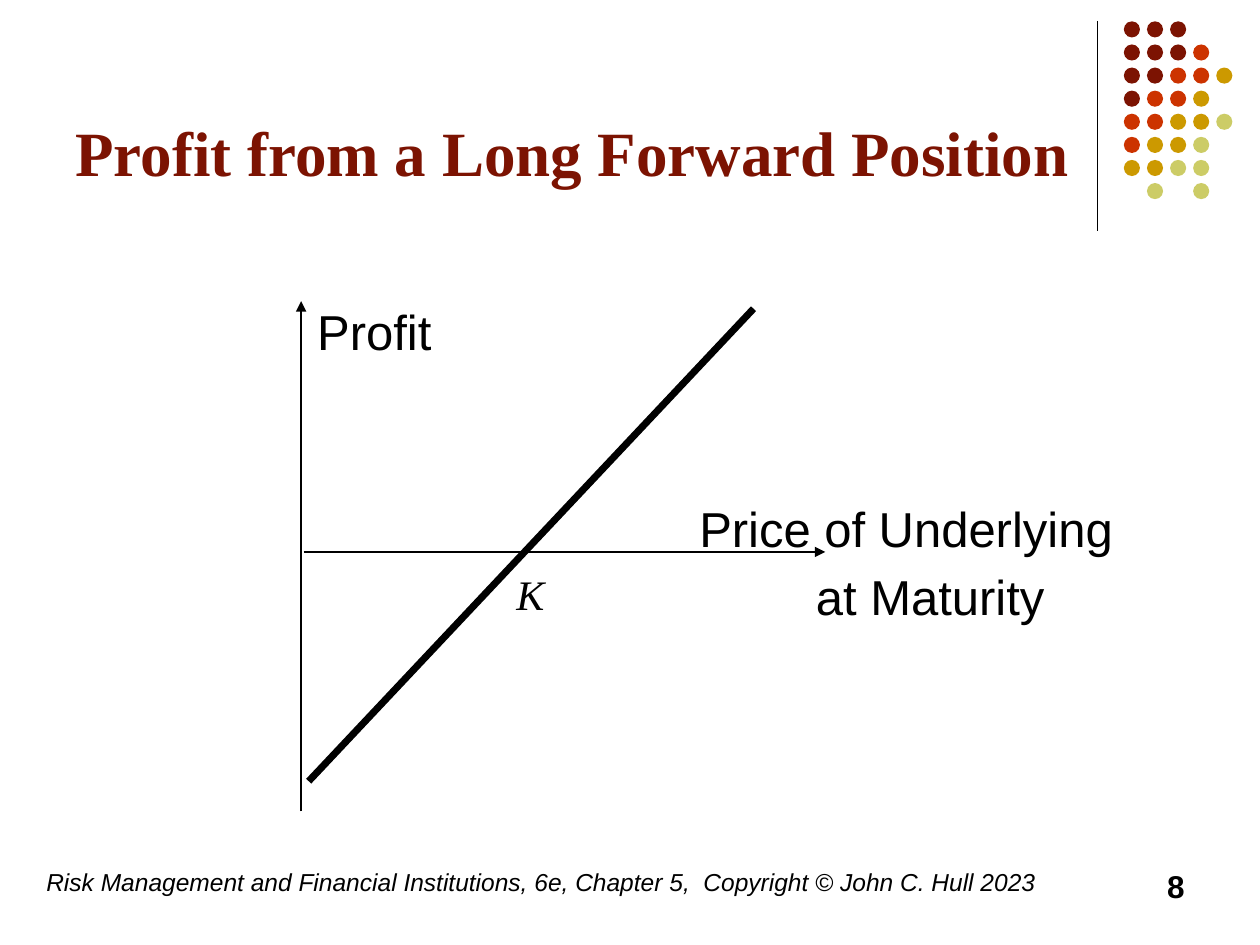
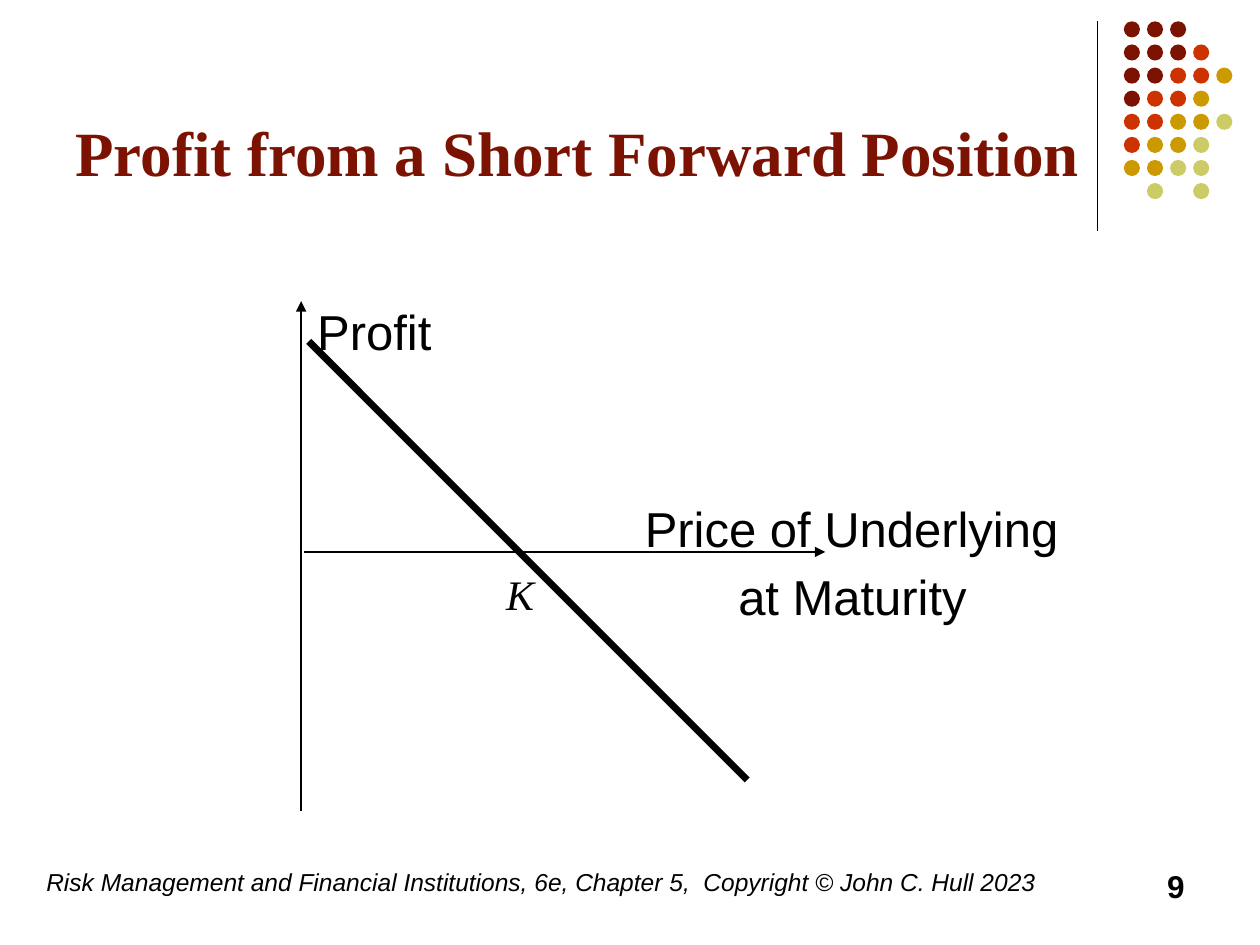
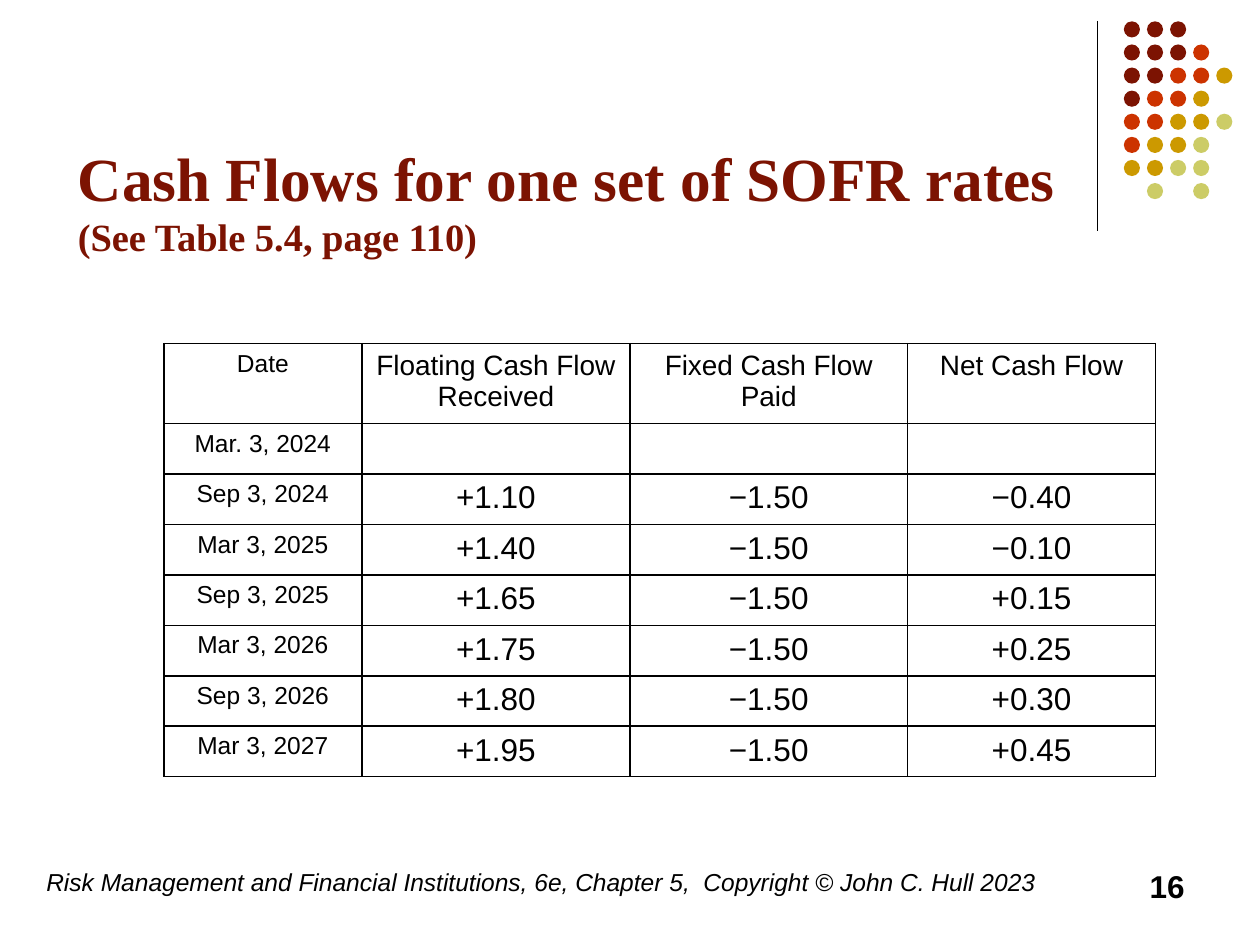
from pptx import Presentation
from pptx.dml.color import RGBColor
from pptx.enum.shapes import MSO_CONNECTOR, MSO_SHAPE
from pptx.enum.text import MSO_ANCHOR, PP_ALIGN
from pptx.oxml import parse_xml
from pptx.oxml.ns import nsdecls
from pptx.util import Pt

color = RGBColor.from_string
BLACK, MAROON = "000000", "7C1302"
SANS, SERIF = "Arial", "Times New Roman"
FOOTER = ("Risk Management and Financial Institutions, 6e, Chapter 5,  "
          "Copyright © John C. Hull 2023")

DOT_COLORS = {"m": MAROON, "r": "CC3300", "g": "CC9900", "y": "CCCC66"}
DOT_ROWS = ["mmm", "mmmr", "mmrrg", "mrrg", "rrggy", "rggy", "ggyy", " y y"]
DOT_LEFT, DOT_TOP, DOT_STEP, DOT_SIZE = 642.2, 12.2, 13.2, 9.2


def add_text(page, left, top, width, height, lines, size, font=SANS, ink=BLACK,
             bold=False, italic=False, align=PP_ALIGN.LEFT):
    """Add a text box with one paragraph per line and return its text frame."""
    frame = page.shapes.add_textbox(Pt(left), Pt(top), Pt(width), Pt(height)).text_frame
    frame.word_wrap = True
    frame.text = "\n".join(lines)
    for para in frame.paragraphs:
        para.alignment = align
        para.font.name = font
        para.font.size = Pt(size)
        para.font.bold = bold
        para.font.italic = italic
        para.font.color.rgb = color(ink)
    return frame


def add_line(page, start, end, weight, arrow=False):
    line = page.shapes.add_connector(
        MSO_CONNECTOR.STRAIGHT, Pt(start[0]), Pt(start[1]), Pt(end[0]), Pt(end[1]))
    line.line.color.rgb = color(BLACK)
    line.line.width = Pt(weight)
    properties = line._element.spPr
    if arrow:
        properties.ln.append(parse_xml(f'<a:tailEnd {nsdecls("a")} type="triangle"/>'))
    properties.append(parse_xml(f'<a:effectLst {nsdecls("a")}/>'))


deck = Presentation()
deck.slide_width, deck.slide_height = Pt(720), Pt(540)

# Title, title box, page number
slides = [
    ("Profit from a Long Forward Position", (36, 9.4, 594, 102.2), 36, 8),
    ("Profit from a Short Forward Position", (36, 9.4, 594, 102.2), 36, 9),
    ("Cash Flows for one set of SOFR rates", (37.4, 39.6, 646, 112.3), 35, 16),
]
pages = []
for title, title_box, title_size, number in slides:
    page = deck.slides.add_slide(deck.slide_layouts[6])
    pages.append(page)
    add_line(page, (627.1, 12), (627.1, 132), 0.75)
    for row, pattern in enumerate(DOT_ROWS):
        for column, key in enumerate(pattern):
            if key == " ":
                continue
            dot = page.shapes.add_shape(
                MSO_SHAPE.OVAL, Pt(DOT_LEFT + column * DOT_STEP),
                Pt(DOT_TOP + row * DOT_STEP), Pt(DOT_SIZE), Pt(DOT_SIZE))
            dot.shadow.inherit = False
            dot.fill.solid()
            dot.fill.fore_color.rgb = color(DOT_COLORS[key])
            dot.line.fill.background()
    heading = add_text(page, *title_box, [title], title_size, SERIF, MAROON, bold=True)
    heading.vertical_anchor = MSO_ANCHOR.BOTTOM
    if number == 16:
        heading.paragraphs[0].add_line_break()
        span = heading.paragraphs[0].add_run()
        span.text = "(See Table 5.4, page 110)"
        span.font.size = Pt(22)
    add_text(page, 19.4, 492, 595.4, 36, [FOOTER], 14, italic=True)
    add_text(page, 516.2, 492, 167.8, 36, [str(number)], 18, bold=True,
             align=PP_ALIGN.RIGHT)

# Payoff start and end, left of the strike label, indents of the price label
payoffs = [
    ((176.4, 446.4), (430.6, 176.4), 288, (31.1, 97.8)),
    ((176.4, 195.1), (427, 445.7), 282.2, (0, 53.4)),
]
for page, (start, end, strike_left, indents) in zip(pages, payoffs):
    add_line(page, (172.1, 463.7), (172.1, 172.1), 1, arrow=True)
    add_line(page, (173.5, 315.4), (471.6, 315.4), 1, arrow=True)
    add_line(page, start, end, 4)
    add_text(page, 174.2, 169, 100, 40, ["Profit"], 28)
    price = add_text(page, 361.4, 281.3, 290, 80,
                     ["Price of Underlying", "at Maturity"], 28)
    for para, indent in zip(price.paragraphs, indents):
        para._p.get_or_add_pPr().set("marL", str(Pt(indent)))
    price.paragraphs[1].space_before = Pt(5)
    add_text(page, strike_left, 321.2, 40, 36, ["K"], 24, SERIF, italic=True)

cash_flows = [
    ("Date", "Floating Cash Flow Received", "Fixed Cash Flow Paid", "Net Cash Flow"),
    ("Mar. 3, 2024", "", "", ""),
    ("Sep 3, 2024", "+1.10", "−1.50", "−0.40"),
    ("Mar 3, 2025", "+1.40", "−1.50", "−0.10"),
    ("Sep 3, 2025", "+1.65", "−1.50", "+0.15"),
    ("Mar 3, 2026", "+1.75", "−1.50", "+0.25"),
    ("Sep 3, 2026", "+1.80", "−1.50", "+0.30"),
    ("Mar 3, 2027", "+1.95", "−1.50", "+0.45"),
]
column_widths = [113.2, 153.2, 158.6, 141.8]
header_height, row_height = 42.6, 27.36
table = pages[2].shapes.add_table(
    len(cash_flows), len(column_widths), Pt(93.6), Pt(196.4), Pt(sum(column_widths)),
    Pt(header_height + row_height * (len(cash_flows) - 1))).table
table.first_row = table.horz_banding = False
for column, width in zip(table.columns, column_widths):
    column.width = Pt(width)
for row, values in enumerate(cash_flows):
    table.rows[row].height = Pt(row_height if row else header_height)
    for column, value in enumerate(values):
        cell = table.cell(row, column)
        for side in ("lnL", "lnR", "lnT", "lnB"):
            cell._tc.get_or_add_tcPr().append(parse_xml(
                f'<a:{side} {nsdecls("a")} w="{Pt(1)}"><a:solidFill>'
                f'<a:srgbClr val="{BLACK}"/></a:solidFill></a:{side}>'))
        cell.fill.background()
        cell.text = value
        para = cell.text_frame.paragraphs[0]
        para.alignment = PP_ALIGN.CENTER
        para.font.name = SANS
        para.font.size = Pt(14 if column == 0 else 16 if row == 0 else 18)
        para.font.color.rgb = color(BLACK)

deck.save("out.pptx")
